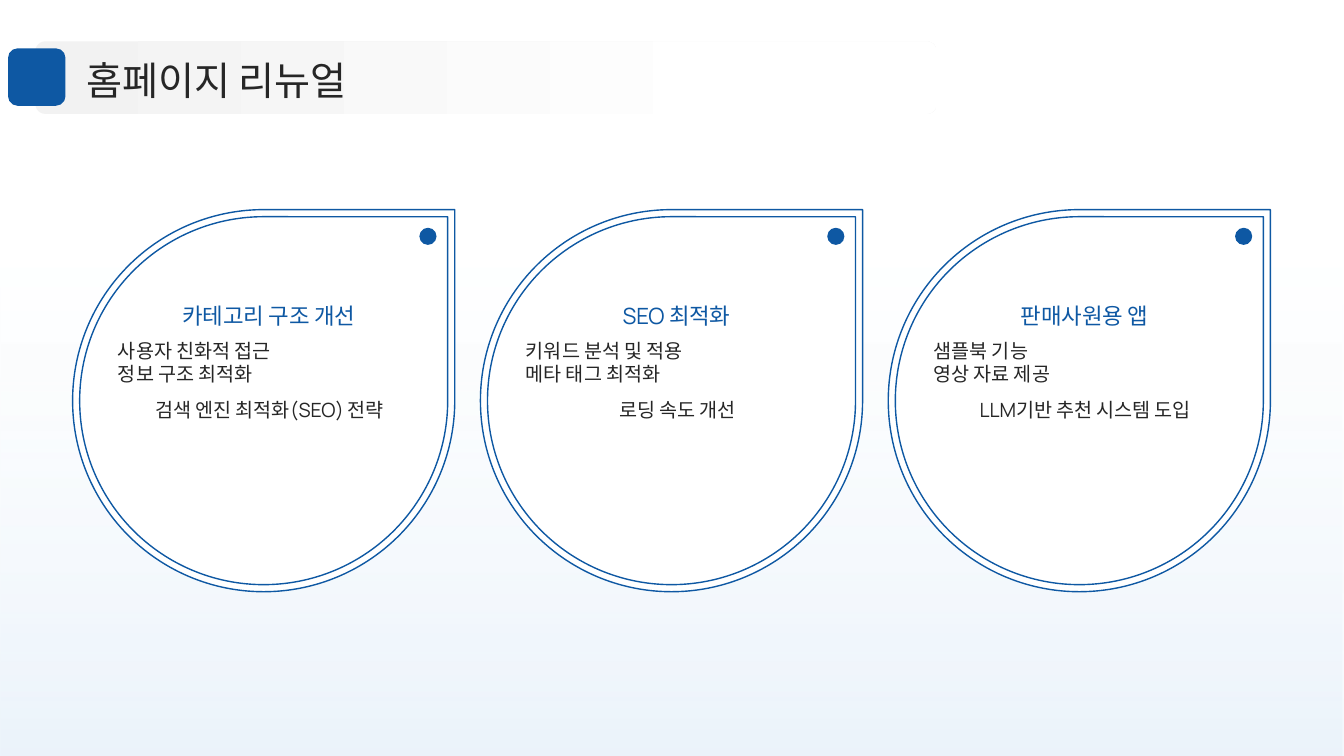
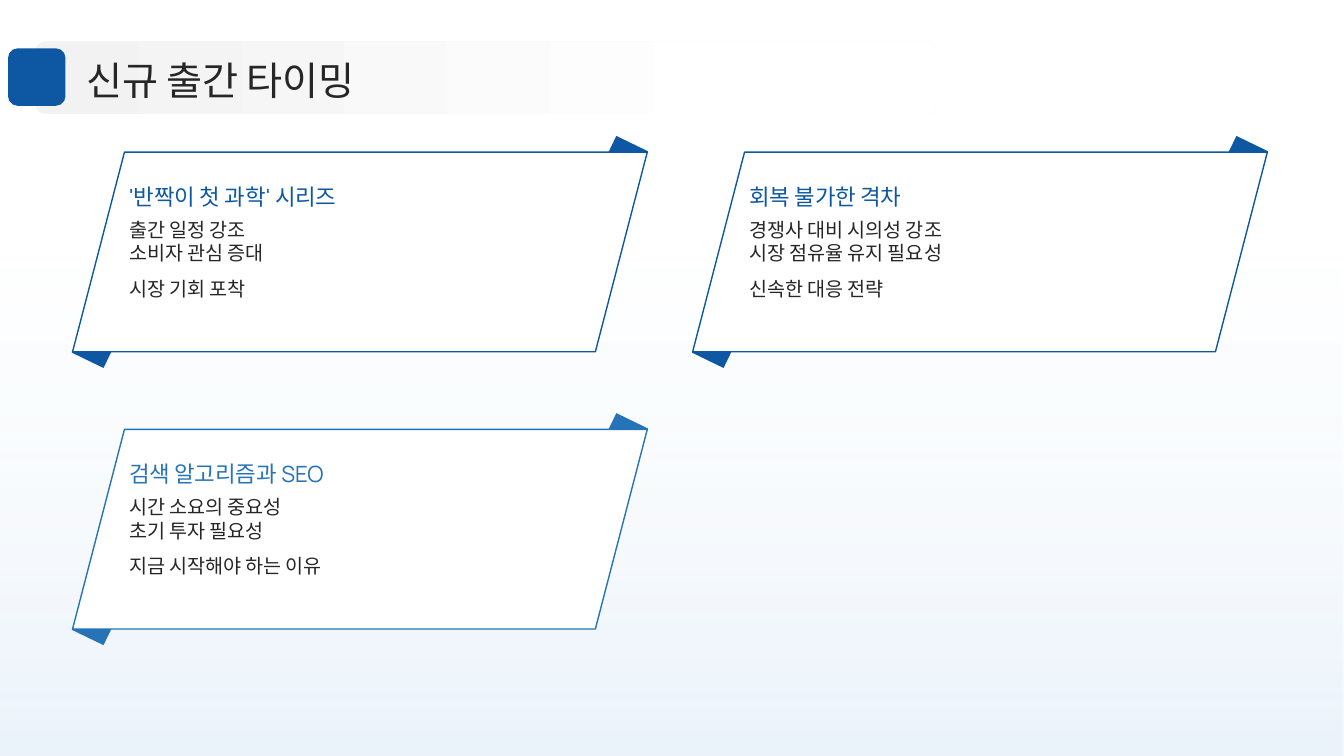
from dataclasses import dataclass
from typing import NamedTuple

from lxml.etree import SubElement
from pptx import Presentation
from pptx.dml.color import RGBColor
from pptx.enum.shapes import MSO_SHAPE
from pptx.enum.text import MSO_ANCHOR, PP_ALIGN
from pptx.oxml.ns import qn
from pptx.util import Inches, Pt

FONT = "Manrope"
BLUE = "0E58A3"
LIGHT_BLUE = "2673B7"
SKY = "CFE3F5"
WHITE = "FFFFFF"
GREY = "F2F2F2"
INK = "262626"

SLIDE_WIDTH, SLIDE_HEIGHT = 13.33, 7.5
MARGIN = 0.72

DROP_SIZE = 3.79
DROP_TOP = 2.08
DROP_RIGHT = 12.6
DROP_INSET = 0.07

BANNER_TOP = 1.51
BANNER_WIDTH, BANNER_HEIGHT = 5.7, 1.98
BANNER_STEP_X, BANNER_STEP_Y = 6.15, 2.75
FOLD_WIDTH, FOLD_HEIGHT, FOLD_ANGLE = 0.35, 0.3, 25.9


class Frame(NamedTuple):
    left: float
    top: float
    width: float
    height: float

    def lengths(self):
        return [Inches(value) for value in self]


class Stop(NamedTuple):
    position: float
    color: str
    opacity: int = 100


@dataclass
class Card:
    heading: str
    lines: list[str]
    color: str = BLUE
    column: int = 0
    row: int = 0


DROPS = [
    Card("카테고리 구조 개선",
         ["사용자 친화적 접근", "정보 구조 최적화", "검색 엔진 최적화(SEO) 전략"]),
    Card("SEO 최적화",
         ["키워드 분석 및 적용", "메타 태그 최적화", "로딩 속도 개선"], column=1),
    Card("판매사원용 앱",
         ["샘플북 기능", "영상 자료 제공", "LLM기반 추천 시스템 도입"], column=2),
]

BANNERS = [
    Card("'반짝이 첫 과학' 시리즈",
         ["출간 일정 강조", "소비자 관심 증대", "시장 기회 포착"]),
    Card("검색 알고리즘과 SEO",
         ["시간 소요의 중요성", "초기 투자 필요성", "지금 시작해야 하는 이유"],
         color=LIGHT_BLUE, row=1),
    Card("회복 불가한 격차",
         ["경쟁사 대비 시의성 강조", "시장 점유율 유지 필요성", "신속한 대응 전략"],
         column=1),
]


def rgb(color: str) -> RGBColor:
    return RGBColor.from_string(color)


def add_block(page, kind, frame: Frame, fill: str | None = None,
              line: str | None = None, adjust: float | None = None,
              rotation: float = 0):
    shape = page.shapes.add_shape(kind, *frame.lengths())
    shape.shadow.inherit = False
    shape.rotation = rotation
    if adjust is not None:
        shape.adjustments[0] = adjust
    if fill:
        shape.fill.solid()
        shape.fill.fore_color.rgb = rgb(fill)
    if line:
        shape.line.color.rgb = rgb(line)
        shape.line.width = Pt(1)
    else:
        shape.line.fill.background()
    return shape


def set_gradient(shape, stops: list[Stop], angle: float) -> None:
    shape.fill.gradient()
    shape.fill.gradient_angle = angle
    for target, stop in zip(shape.fill.gradient_stops, stops):
        target.position = stop.position
        target.color.rgb = rgb(stop.color)
    for node, stop in zip(shape.element.xpath(".//a:gs/a:srgbClr"), stops):
        if stop.opacity < 100:
            SubElement(node, qn("a:alpha"), val=str(stop.opacity * 1000))


def add_text(page, frame: Frame, lines: list[str], size: int, color: str = INK,
             spacing: float = 1.5, align=PP_ALIGN.LEFT,
             anchor=MSO_ANCHOR.TOP) -> None:
    box = page.shapes.add_textbox(*frame.lengths()).text_frame
    box.word_wrap = True
    box.vertical_anchor = anchor
    box.margin_left = box.margin_right = box.margin_top = box.margin_bottom = 0
    for index, line in enumerate(lines):
        para = box.paragraphs[0] if index == 0 else box.add_paragraph()
        is_last = index == len(lines) - 1
        para.alignment = align if is_last else PP_ALIGN.LEFT
        para.line_spacing = spacing if is_last else 1.0
        span = para.add_run()
        span.text = line
        span.font.name = FONT
        span.font.size = Pt(size)
        span.font.color.rgb = rgb(color)
        SubElement(span.font._element, qn("a:ea"), typeface=FONT)


def add_page(deck):
    page = deck.slides.add_slide(deck.slide_layouts[6])
    backdrop = add_block(page, MSO_SHAPE.RECTANGLE,
                         Frame(0, 0, SLIDE_WIDTH, SLIDE_HEIGHT))
    set_gradient(backdrop, [Stop(0, SKY, 41), Stop(0.68, WHITE, 20)], 90)
    return page


def add_title(page, title: str) -> None:
    band = add_block(page, MSO_SHAPE.ROUNDED_RECTANGLE,
                     Frame(0.35, 0.41, 8.94, 0.72), adjust=0.14)
    set_gradient(band, [Stop(0, GREY), Stop(0.8, WHITE)], 0)
    add_text(page, Frame(0.86, 0.51, 11.67, 0.51), [title], 28,
             spacing=1.1, anchor=MSO_ANCHOR.MIDDLE)
    add_block(page, MSO_SHAPE.ROUNDED_RECTANGLE,
              Frame(0.08, 0.48, 0.57, 0.57), fill=BLUE)


def add_drop(page, card: Card) -> None:
    step = (DROP_RIGHT - MARGIN - DROP_SIZE) / (len(DROPS) - 1)
    left = MARGIN + card.column * step
    for inset in (0, DROP_INSET):
        size = DROP_SIZE - 2 * inset
        add_block(page, MSO_SHAPE.TEAR,
                  Frame(left + inset, DROP_TOP + inset, size, size),
                  fill=WHITE, line=card.color)
    add_block(page, MSO_SHAPE.OVAL,
              Frame(left + 3.44, DROP_TOP + 0.18, 0.17, 0.17), fill=card.color)
    add_text(page, Frame(left + 0.45, DROP_TOP + 1.28, 3.01, 2.01), card.lines,
             14, align=PP_ALIGN.CENTER)
    add_text(page, Frame(left + 0.45, DROP_TOP + 0.46, 2.99, 0.72),
             [card.heading], 16, color=card.color, spacing=1.3,
             align=PP_ALIGN.CENTER, anchor=MSO_ANCHOR.BOTTOM)


def add_banner(page, card: Card) -> None:
    left = MARGIN + card.column * BANNER_STEP_X
    top = BANNER_TOP + card.row * BANNER_STEP_Y
    for shift_x, shift_y in ((5.31, -0.1), (0.04, 1.78)):
        add_block(page, MSO_SHAPE.RECTANGLE,
                  Frame(left + shift_x, top + shift_y, FOLD_WIDTH, FOLD_HEIGHT),
                  fill=card.color, rotation=FOLD_ANGLE)
    add_block(page, MSO_SHAPE.PARALLELOGRAM,
              Frame(left, top, BANNER_WIDTH, BANNER_HEIGHT),
              fill=WHITE, line=card.color, adjust=0.26)
    add_text(page, Frame(left + 0.56, top + 0.65, 4.58, 1.16), card.lines, 14)
    add_text(page, Frame(left + 0.56, top + 0.2, 4.58, 0.4), [card.heading], 16,
             color=card.color, spacing=1.3, anchor=MSO_ANCHOR.MIDDLE)


def main() -> None:
    deck = Presentation()
    deck.slide_width = Inches(SLIDE_WIDTH)
    deck.slide_height = Inches(SLIDE_HEIGHT)
    for title, cards, add_card in (
        ("홈페이지 리뉴얼", DROPS, add_drop),
        ("신규 출간 타이밍", BANNERS, add_banner),
    ):
        page = add_page(deck)
        for card in cards:
            add_card(page, card)
        add_title(page, title)
    deck.save("out.pptx")


if __name__ == "__main__":
    main()
